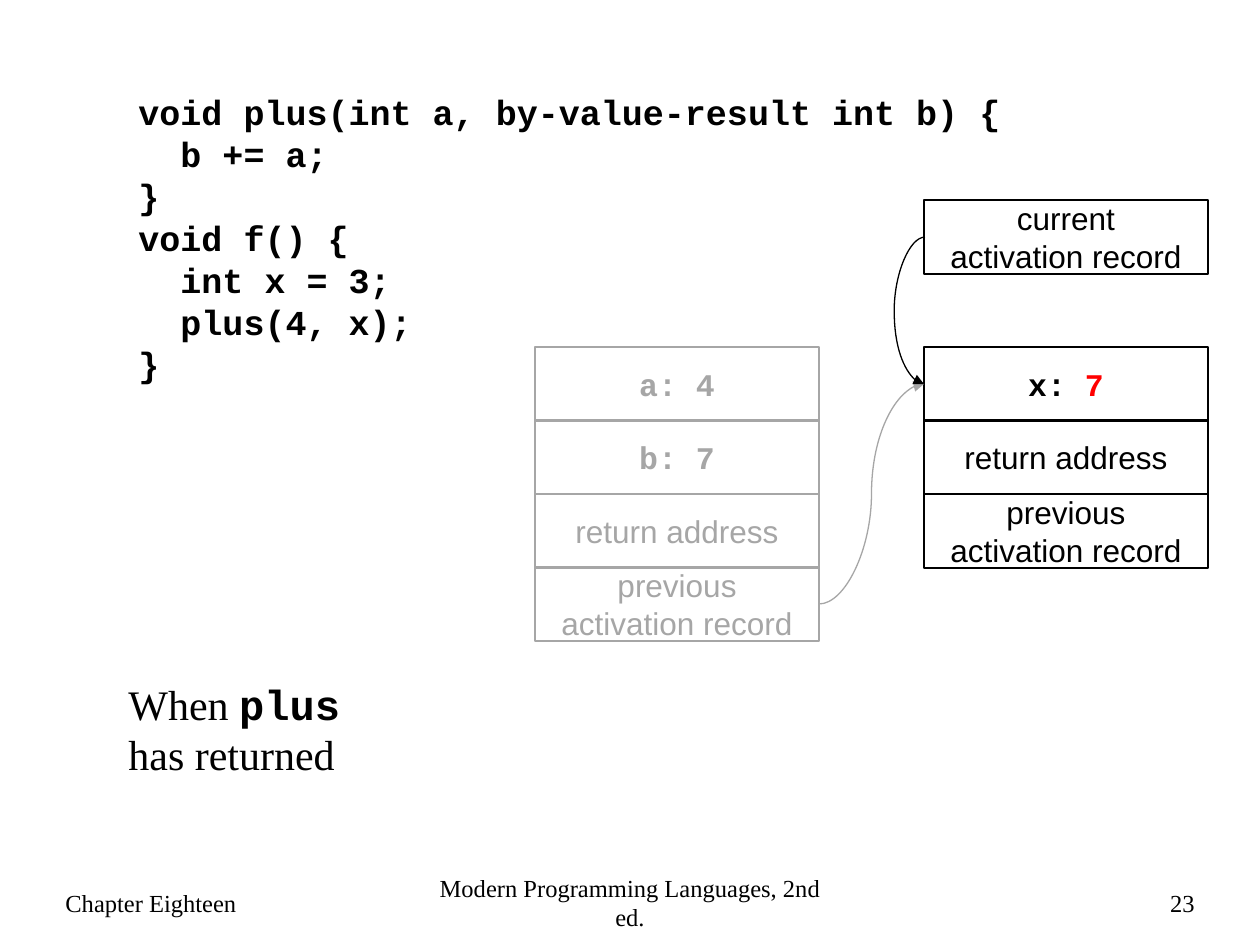
from typing import NamedTuple

from lxml.etree import SubElement
from pptx import Presentation
from pptx.dml.color import RGBColor
from pptx.enum.shapes import MSO_CONNECTOR, MSO_SHAPE
from pptx.enum.text import MSO_ANCHOR, PP_ALIGN
from pptx.oxml.ns import qn
from pptx.util import Pt

PIXEL = 914400 // 126
BLACK, GREY, RED = "000000", "A6A6A6", "FF0000"
SANS, MONO, SERIF = "Arial", "Courier New", "Times New Roman"
CELL_WIDTH, CELL_HEIGHT = 284, 74
STACK_TOP = 347
CALLEE_LEFT, CALLER_LEFT = 535, 924


class Span(NamedTuple):
    """A stretch of text in one format."""
    text: str
    font: str = SANS
    color: str = BLACK
    bold: bool = False


class Cell(NamedTuple):
    """One field of an activation record; rows count from the stack top."""
    left: int
    row: int
    color: str
    spans: list[Span]


class Label(NamedTuple):
    """A free text box."""
    left: int
    top: int
    width: int
    height: int
    size: int
    spans: list[Span]
    align: PP_ALIGN = PP_ALIGN.LEFT
    anchor: MSO_ANCHOR = MSO_ANCHOR.TOP
    wrap: bool = True


class Curve(NamedTuple):
    """A curved arrow; bend is its middle, in percent of its width."""
    start: tuple[int, int]
    end: tuple[int, int]
    color: str
    bend: int = 50
    turned: bool = False


def px(pixels: int) -> int:
    """Turn pixels into EMU."""
    return pixels * PIXEL


def rgb(color: str) -> RGBColor:
    """Turn a hex string into a colour."""
    return RGBColor.from_string(color)


def row_top(row: int) -> int:
    """Return the top of a record row, 73.5 pixels apart."""
    return STACK_TOP + row * 147 // 2


def write(box, spans: list[Span], *, size: int, align: PP_ALIGN,
          anchor: MSO_ANCHOR, wrap: bool = True) -> None:
    """Write formatted spans as one paragraph, with line breaks at newlines."""
    frame = box.text_frame
    frame.word_wrap = wrap
    frame.vertical_anchor = anchor
    para = frame.paragraphs[0]
    para.alignment = align
    for span in spans:
        for number, line in enumerate(span.text.split("\n")):
            if number:
                para.add_line_break()
            run = para.add_run()
            run.text = line
            run.font.name = span.font
            run.font.size = Pt(size)
            run.font.bold = span.bold
            run.font.color.rgb = rgb(span.color)


def add_label(page, label: Label) -> None:
    """Draw a text box."""
    box = page.shapes.add_textbox(px(label.left), px(label.top),
                                  px(label.width), px(label.height))
    write(box, label.spans, size=label.size, align=label.align,
          anchor=label.anchor, wrap=label.wrap)


def add_cell(page, cell: Cell) -> None:
    """Draw an outlined record field."""
    box = page.shapes.add_shape(MSO_SHAPE.RECTANGLE, px(cell.left), px(row_top(cell.row)),
                                px(CELL_WIDTH), px(CELL_HEIGHT))
    box.shadow.inherit = False
    box.fill.background()
    box.line.color.rgb = rgb(cell.color)
    box.line.width = Pt(0.75)
    write(box, cell.spans, size=18, align=PP_ALIGN.CENTER, anchor=MSO_ANCHOR.MIDDLE)


def add_curve(page, curve: Curve) -> None:
    """Draw a curved arrow; a turned one is laid out backwards and rotated by half a turn."""
    first, last = (curve.end, curve.start) if curve.turned else (curve.start, curve.end)
    arrow = page.shapes.add_connector(MSO_CONNECTOR.CURVE, *map(px, first + last))
    arrow.line.color.rgb = rgb(curve.color)
    arrow.line.width = Pt(0.75)
    properties = arrow._element.spPr
    if curve.turned:
        properties.find(qn("a:xfrm")).set("rot", "10800000")
    guides = properties.find(qn("a:prstGeom")).find(qn("a:avLst"))
    SubElement(guides, qn("a:gd"), name="adj1", fmla=f"val {curve.bend * 1000}")
    SubElement(properties.find(qn("a:ln")), qn("a:tailEnd"), type="triangle",
               w="med", len="med")
    SubElement(properties, qn("a:effectLst"))


CODE = """void plus(int a, by-value-result int b) {
  b += a;
}
void f() {
  int x = 3;
  plus(4, x);
}"""

LABELS = [
    Label(126, 84, 977, 306, 20, [Span(CODE, MONO, bold=True)]),
    Label(116, 672, 262, 113, 24, [Span("When ", SERIF), Span("plus", MONO, bold=True),
                                   Span(" has returned", SERIF)]),
] + [
    Label(left, 871, width, 63, 14, [Span(text, SERIF)], align, MSO_ANCHOR.MIDDLE, False)
    for left, width, text, align in [
        (53, 284, "Chapter Eighteen", PP_ALIGN.LEFT),
        (420, 420, "Modern Programming Languages, 2nd ed.", PP_ALIGN.CENTER),
        (945, 262, "23", PP_ALIGN.RIGHT),
    ]
]

CELLS = [
    Cell(CALLER_LEFT, -2, BLACK, [Span("current\nactivation record")]),
    Cell(CALLER_LEFT, 0, BLACK, [Span("x: ", MONO, bold=True), Span("7", MONO, RED, True)]),
    Cell(CALLEE_LEFT, 0, GREY, [Span("a: 4", MONO, GREY, True)]),
    Cell(CALLEE_LEFT, 1, GREY, [Span("b: 7", MONO, GREY, True)]),
] + [
    Cell(left, row + offset, color, [Span(text, color=color)])
    for left, row, color in [(CALLER_LEFT, 1, BLACK), (CALLEE_LEFT, 2, GREY)]
    for offset, text in enumerate(["return address", "previous activation record"])
]

HALF = CELL_HEIGHT // 2
TARGET = (CALLER_LEFT, row_top(0) + HALF)
CURVES = [
    Curve((CALLEE_LEFT + CELL_WIDTH, row_top(3) + HALF), TARGET, GREY),
    Curve((CALLER_LEFT + 1, row_top(-2) + HALF), TARGET, BLACK, bend=3100, turned=True),
]

deck = Presentation()
deck.slide_width, deck.slide_height = px(1260), px(945)
page = deck.slides.add_slide(deck.slide_layouts[6])
for label in LABELS:
    add_label(page, label)
for cell in CELLS:
    add_cell(page, cell)
for curve in CURVES:
    add_curve(page, curve)
deck.save("out.pptx")
